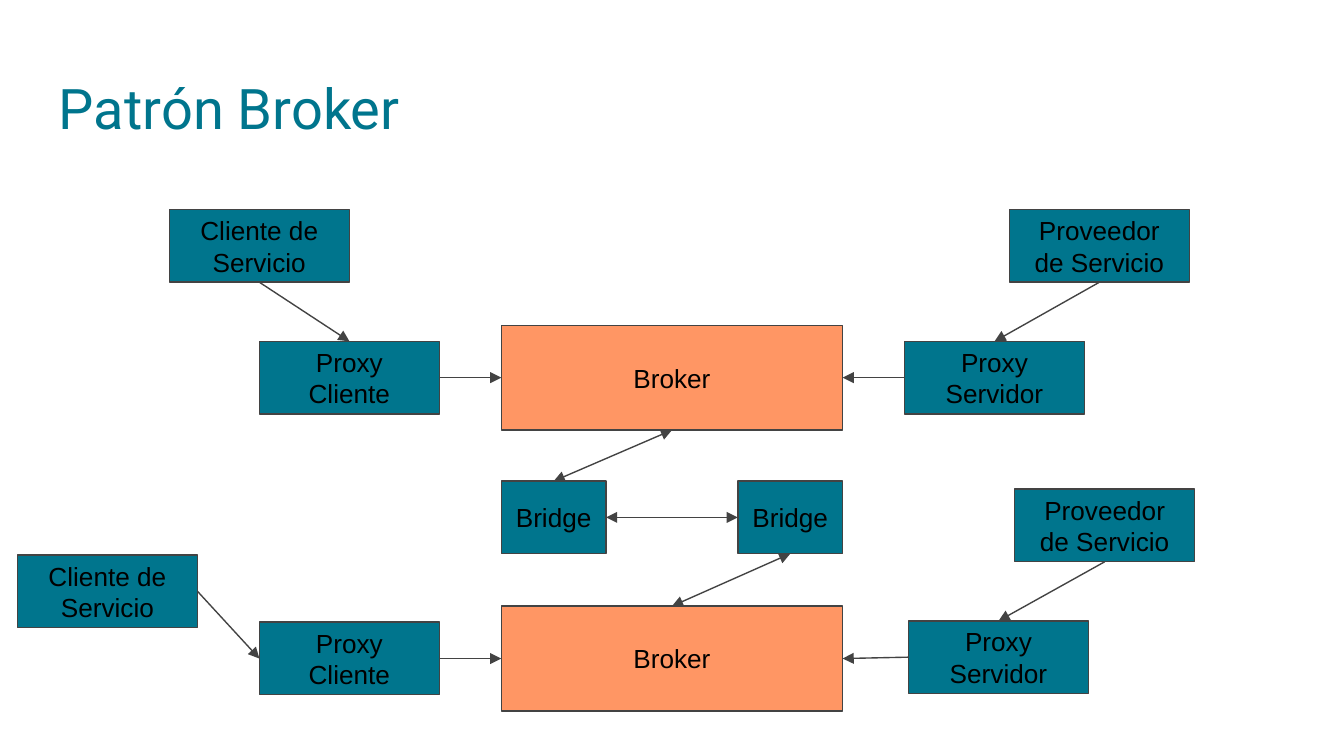
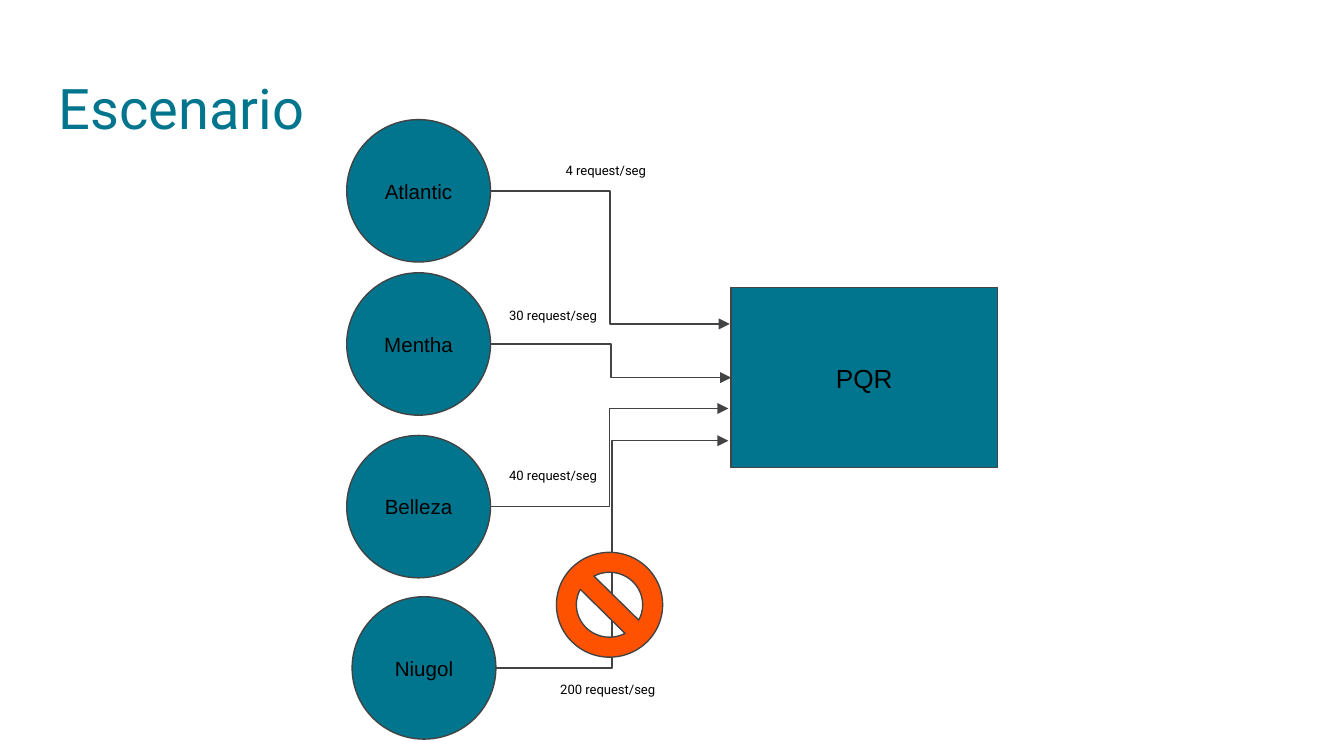
from lxml.etree import SubElement
from pptx import Presentation
from pptx.dml.color import RGBColor
from pptx.enum.shapes import MSO_CONNECTOR as Link, MSO_SHAPE as Shape
from pptx.enum.text import MSO_ANCHOR as Anchor, PP_ALIGN as Align
from pptx.oxml.ns import qn
from pptx.util import Emu, Pt

PX = 9144  # 100 px to the inch
TEAL, SALMON, ORANGE = "00758D", "FF9664", "FF5200"
GREY, BLACK = "434343", "000000"
BODY_FONT, TITLE_FONT = "Arial", "Roboto"
TOP, LEFT, BOTTOM, RIGHT = range(4)
BOX = (134, 54)
BROKER = (254, 78)
BRIDGE = (78, 54)
CIRCLE = (107, 106)
LABEL = (98, 35)


def px(*lengths):
    return [Emu(length * PX) for length in lengths]


def color(value):
    return RGBColor.from_string(value)


def write(shape, text, size, font, ink=BLACK, align=Align.LEFT):
    frame = shape.text_frame
    frame.word_wrap = True
    frame.margin_left = frame.margin_right = Emu(10 * PX)
    frame.margin_top = frame.margin_bottom = Emu(10 * PX)
    para = frame.paragraphs[0]
    para.text = text
    para.alignment = align
    para.font.size = Pt(size)
    para.font.name = font
    para.font.color.rgb = color(ink)


def add_text(page, text, place, size, ink=BLACK):
    write(page.shapes.add_textbox(*px(*place)), text, size, TITLE_FONT, ink)


def add_page(deck, title):
    page = deck.slides.add_slide(deck.slide_layouts[6])
    add_text(page, title, (34, 45, 932, 66), 30, TEAL)
    return page


def add_figure(page, kind, place, fill=TEAL, text="", size=14):
    """Add an outlined preset shape with centred text."""
    shape = page.shapes.add_shape(kind, *px(*place))
    shape.shadow.inherit = False
    shape.fill.solid()
    shape.fill.fore_color.rgb = color(fill)
    shape.line.color.rgb = color(GREY)
    shape.line.width = Pt(0.75)
    if text:
        write(shape, text, size, BODY_FONT, align=Align.CENTER)
        shape.text_frame.vertical_anchor = Anchor.MIDDLE
    return shape


def add_arrow(page, kind=Link.STRAIGHT, start=(0, 0), end=(0, 0), both=False):
    arrow = page.shapes.add_connector(kind, *px(*start, *end))
    arrow.line.color.rgb = color(GREY)
    arrow.line.width = Pt(0.75)
    line = arrow.line._get_or_add_ln()
    for tag in ("a:headEnd", "a:tailEnd") if both else ("a:tailEnd",):
        SubElement(line, qn(tag), type="triangle")
    SubElement(arrow._element.spPr, qn("a:effectLst"))
    return arrow


def join(page, source, source_side, target, target_side, both=False):
    arrow = add_arrow(page, both=both)
    arrow.begin_connect(source, source_side)
    arrow.end_connect(target, target_side)


def add_broker_row(page, broker_top, client_at, client_side, proxy_side,
                   provider_at, server_at):
    """Add a broker with its client chain on the left and server chain on the right."""
    def box(text, at):
        return add_figure(page, Shape.RECTANGLE, (*at, *BOX), text=text)

    broker = add_figure(page, Shape.RECTANGLE, (373, broker_top, *BROKER),
                        SALMON, "Broker")
    client = box("Cliente de Servicio", client_at)
    client_proxy = box("Proxy Cliente", (193, broker_top + 12))
    provider = box("Proveedor de Servicio", provider_at)
    server_proxy = box("Proxy Servidor", server_at)
    join(page, client, client_side, client_proxy, proxy_side)
    join(page, client_proxy, RIGHT, broker, LEFT)
    join(page, provider, BOTTOM, server_proxy, TOP)
    join(page, server_proxy, LEFT, broker, RIGHT)
    return broker


def build_broker_page(deck):
    page = add_page(deck, "Patrón Broker")
    upper = add_broker_row(page, 242, (126, 156), BOTTOM, TOP,
                           (751, 156), (673, 254))
    lower = add_broker_row(page, 451, (13, 413), RIGHT, LEFT,
                           (755, 364), (676, 462))
    left_bridge, right_bridge = [
        add_figure(page, Shape.RECTANGLE, (left, 358, *BRIDGE), text="Bridge")
        for left in (373, 549)]
    join(page, upper, BOTTOM, left_bridge, TOP, both=True)
    join(page, left_bridge, RIGHT, right_bridge, LEFT, both=True)
    join(page, right_bridge, BOTTOM, lower, TOP, both=True)


def build_scenario_page(deck):
    page = add_page(deck, "Escenario")
    server = add_figure(page, Shape.RECTANGLE, (544, 214, 198, 134), text="PQR")
    # name, circle corner, arrow end, rate, label corner
    clients = [
        ("Atlantic", (258, 89), (543, 241), "4 request/seg", (411, 115)),
        ("Mentha", (258, 203), (544, 281), "30 request/seg", (369, 223)),
        ("Belleza", (258, 324), (542, 304), "40 request/seg", (369, 342)),
        ("Niugol", (262, 444), (542, 328), "200 request/seg", (407, 501)),
    ]
    width, height = CIRCLE
    for name, (left, top), end, rate, label_at in clients:
        add_figure(page, Shape.OVAL, (left, top, *CIRCLE), text=name, size=11)
        start = (left + width, top + height // 2)
        arrow = add_arrow(page, Link.ELBOW, start, end)
        if name == "Mentha":
            arrow.end_connect(server, LEFT)
        add_text(page, rate, (*label_at, *LABEL), 7)
    barrier = add_figure(page, Shape.NO_SYMBOL, (414, 411, 79, 78), ORANGE)
    barrier.adjustments[0] = 0.19


def main():
    deck = Presentation()
    deck.slide_width = Emu(1000 * PX)
    deck.slide_height = Emu(deck.slide_width * 9 // 16)
    build_broker_page(deck)
    build_scenario_page(deck)
    deck.save("out.pptx")


if __name__ == "__main__":
    main()
